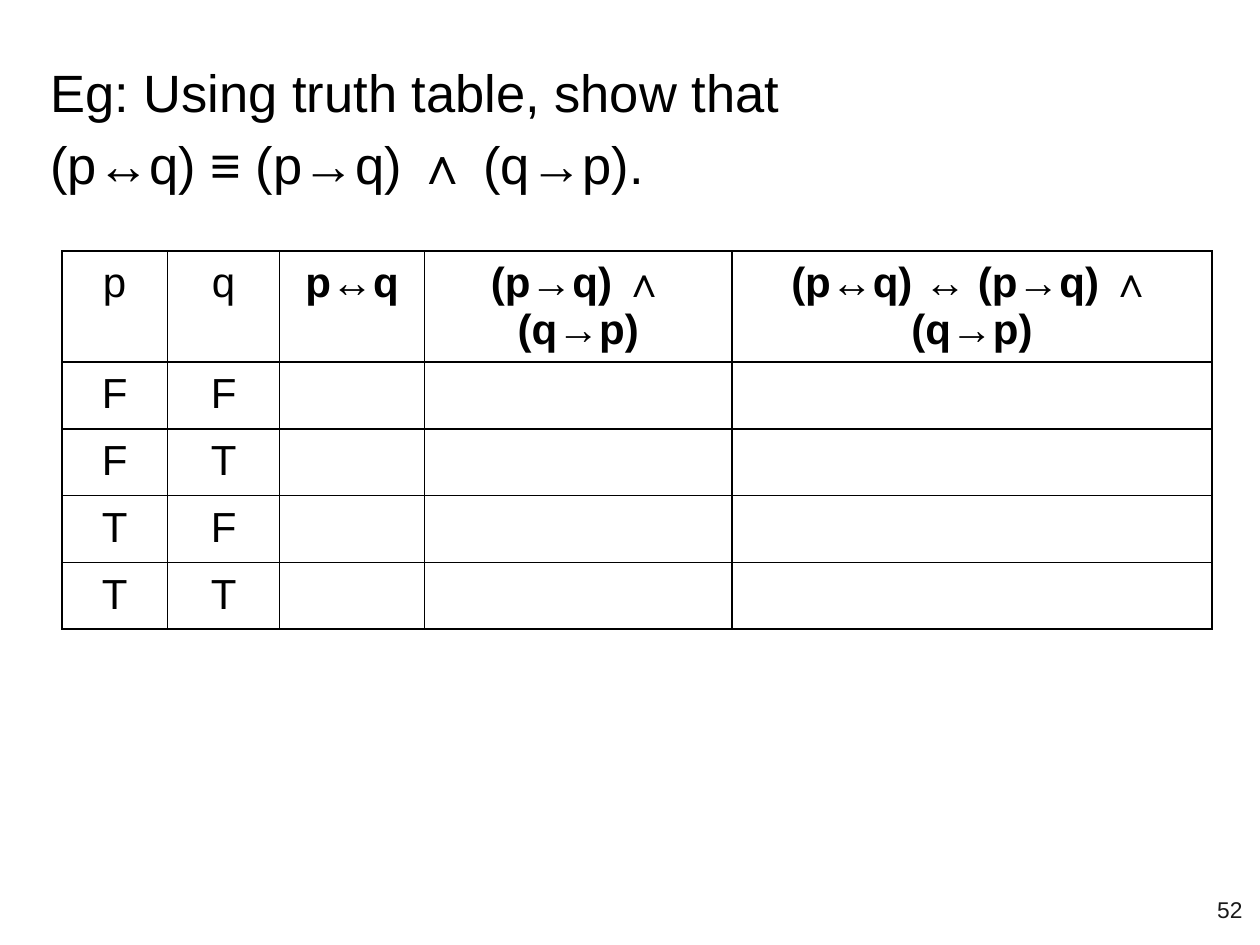
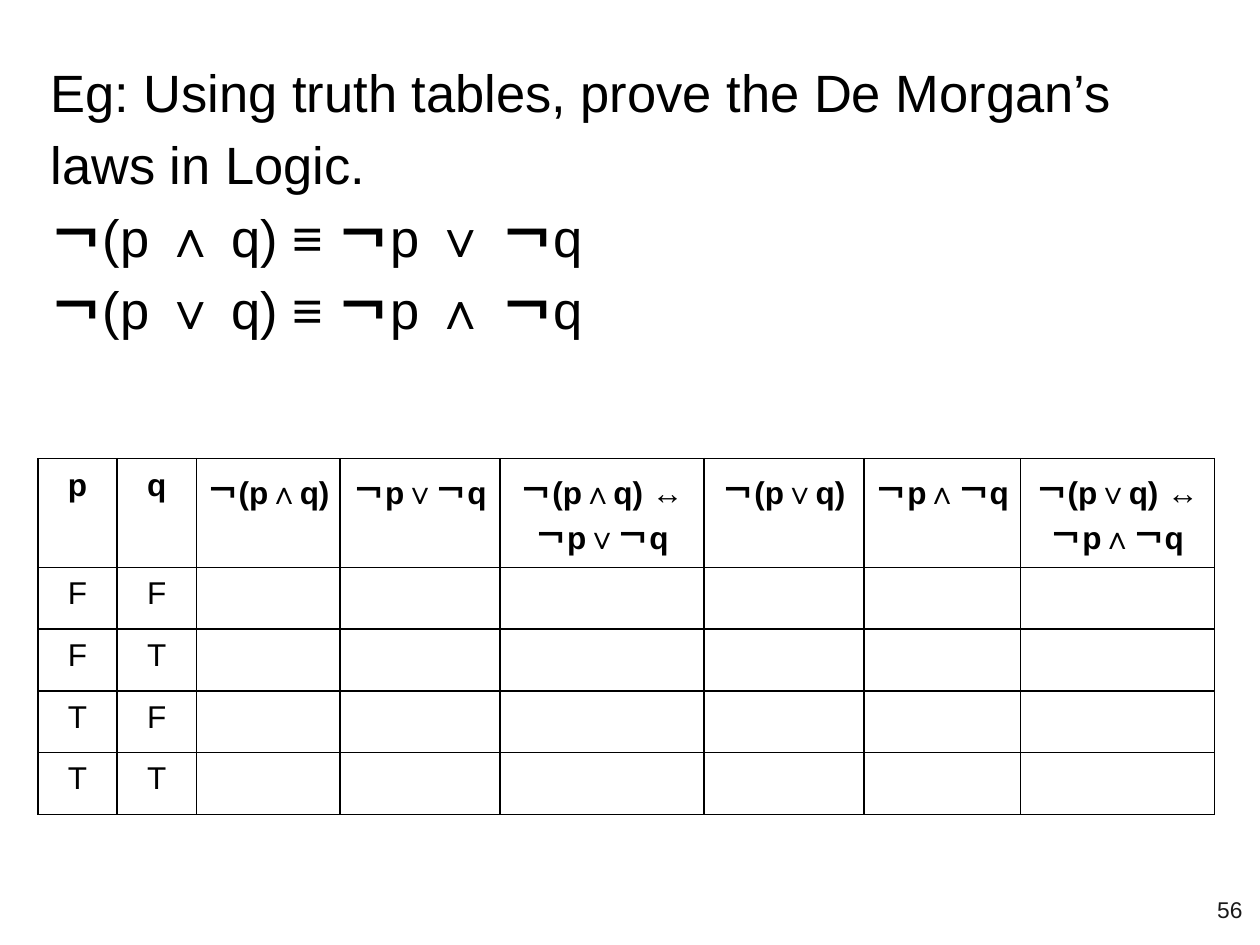
"""Build two truth-table exercise slides."""
from dataclasses import dataclass
from itertools import groupby, product

from lxml import etree
from pptx import Presentation
from pptx.dml.color import RGBColor
from pptx.enum.text import MSO_ANCHOR, MSO_AUTO_SIZE, PP_ALIGN
from pptx.oxml.ns import qn
from pptx.util import Inches, Pt

LEFT, CENTER, RIGHT = PP_ALIGN.LEFT, PP_ALIGN.CENTER, PP_ALIGN.RIGHT
TOP, MIDDLE = MSO_ANCHOR.TOP, MSO_ANCHOR.MIDDLE
NO_AUTOFIT = MSO_AUTO_SIZE.NONE

FONT = "Arial"
COLORS = {"text": "000000", "border": "000000", "page_number": "191919"}
BOLD_SYMBOLS = "↔→∧∨￢"
TITLE_ONLY_LAYOUT = 5
TRUTH_ROWS = list(product("FT", repeat=2))


@dataclass(frozen=True)
class TruthTable:
    left: float
    top: float
    widths: list[float]
    header_height: float
    row_height: float
    size: int
    headers: list[str]
    plain_headers: int = 0


@dataclass(frozen=True)
class Exercise:
    statement: list[str]
    statement_height: float
    table: TruthTable
    page: int


EXERCISES = [
    Exercise(
        ["Eg: Using truth table, show that", "(p↔q) ≡ (p→q) ∧ (q→p)."],
        6.99,
        TruthTable(
            0.49, 1.99, [0.84, 0.89, 1.15, 2.44, 3.81], 0.53, 0.53, 24,
            ["p", "q", "p↔q", "(p→q) ∧ (q→p)", "(p↔q) ↔ (p→q) ∧ (q→p)"],
            plain_headers=2,
        ),
        52,
    ),
    Exercise(
        [
            "Eg: Using truth tables, prove the De Morgan’s laws in Logic.",
            "￢(p ∧ q) ≡ ￢p ∨ ￢q",
            "￢(p ∨ q) ≡ ￢p ∧ ￢q",
        ],
        2.87,
        TruthTable(
            0.3, 3.64, [0.63, 0.63, 1.14, 1.27, 1.62, 1.27, 1.24, 1.54], 0.77, 0.49, 18,
            [
                "p", "q",
                "￢(p∧q)", "￢p∨￢q", "￢(p∧q) ↔ ￢p∨￢q",
                "￢(p∨q)", "￢p∧￢q", "￢(p∨q) ↔ ￢p∧￢q",
            ],
        ),
        56,
    ),
]


def format_run(run, size: int, color: str, bold: bool = False) -> None:
    """Apply the shared font to a run."""
    run.font.name = FONT
    run.font.size = Pt(size)
    run.font.bold = bold
    run.font.color.rgb = RGBColor.from_string(COLORS[color])


def format_frame(text_frame, anchor) -> None:
    """Set the margins, wrapping and anchor of a text frame."""
    text_frame.auto_size = NO_AUTOFIT
    text_frame.word_wrap = True
    text_frame.vertical_anchor = anchor
    text_frame.margin_left = text_frame.margin_right = Inches(0.1)
    text_frame.margin_top = text_frame.margin_bottom = Inches(0.1)


def add_statement(slide, lines: list[str], height: float) -> None:
    """Write the exercise in the title, with its logical symbols in bold."""
    title = slide.shapes.title
    title.left, title.top = Inches(0.3), Inches(0.3)
    title.width, title.height = Inches(9.4), Inches(height)
    text_frame = title.text_frame
    format_frame(text_frame, TOP)
    text_frame.text = "\n".join(lines)
    for paragraph, line in zip(text_frame.paragraphs, lines):
        paragraph.text = ""
        paragraph.alignment = LEFT
        paragraph.line_spacing = 1.15
        for bold, characters in groupby(line, lambda character: character in BOLD_SYMBOLS):
            run = paragraph.add_run()
            run.text = "".join(characters)
            format_run(run, 30, "text", bold)


def add_borders(cell) -> None:
    """Draw a thin line on each side of a cell."""
    properties = cell._tc.get_or_add_tcPr()
    for side in ("lnL", "lnR", "lnT", "lnB"):
        line = etree.SubElement(properties, qn(f"a:{side}"), w=str(Pt(1)))
        fill = etree.SubElement(line, qn("a:solidFill"))
        etree.SubElement(fill, qn("a:srgbClr"), val=COLORS["border"])


def add_truth_table(slide, spec_table: TruthTable) -> None:
    """Add a truth table whose result columns are left to fill in."""
    columns = len(spec_table.widths)
    heights = [spec_table.header_height] + [spec_table.row_height] * len(TRUTH_ROWS)
    table = slide.shapes.add_table(
        len(heights), columns, Inches(spec_table.left), Inches(spec_table.top),
        Inches(sum(spec_table.widths)), Inches(sum(heights)),
    ).table
    table.first_row = table.horz_banding = False
    for column, width in zip(table.columns, spec_table.widths):
        column.width = Inches(width)
    for row, height in zip(table.rows, heights):
        row.height = Inches(height)
    for row_index, texts in enumerate([spec_table.headers, *TRUTH_ROWS]):
        for column_index in range(columns):
            cell = table.cell(row_index, column_index)
            add_borders(cell)
            cell.fill.background()
            cell.margin_left = cell.margin_right = Inches(0.07)
            cell.margin_top = cell.margin_bottom = Inches(0.07)
            if column_index < len(texts):
                cell.text_frame.text = texts[column_index]
                paragraph = cell.text_frame.paragraphs[0]
                paragraph.alignment = CENTER
                bold = row_index == 0 and column_index >= spec_table.plain_headers
                format_run(paragraph.runs[0], spec_table.size, "text", bold)


def add_page_number(slide, page: int) -> None:
    """Write the page number in the bottom right corner."""
    box = slide.shapes.add_textbox(Inches(9.36), Inches(6.93), Inches(0.6), Inches(0.57))
    format_frame(box.text_frame, MIDDLE)
    box.text_frame.text = str(page)
    paragraph = box.text_frame.paragraphs[0]
    paragraph.alignment = RIGHT
    format_run(paragraph.runs[0], 13, "page_number")


def main() -> None:
    """Build and save the presentation."""
    presentation = Presentation()
    presentation.slide_width, presentation.slide_height = Inches(10), Inches(7.5)
    for exercise in EXERCISES:
        slide = presentation.slides.add_slide(presentation.slide_layouts[TITLE_ONLY_LAYOUT])
        add_statement(slide, exercise.statement, exercise.statement_height)
        add_truth_table(slide, exercise.table)
        add_page_number(slide, exercise.page)
    presentation.save("out.pptx")


if __name__ == "__main__":
    main()
